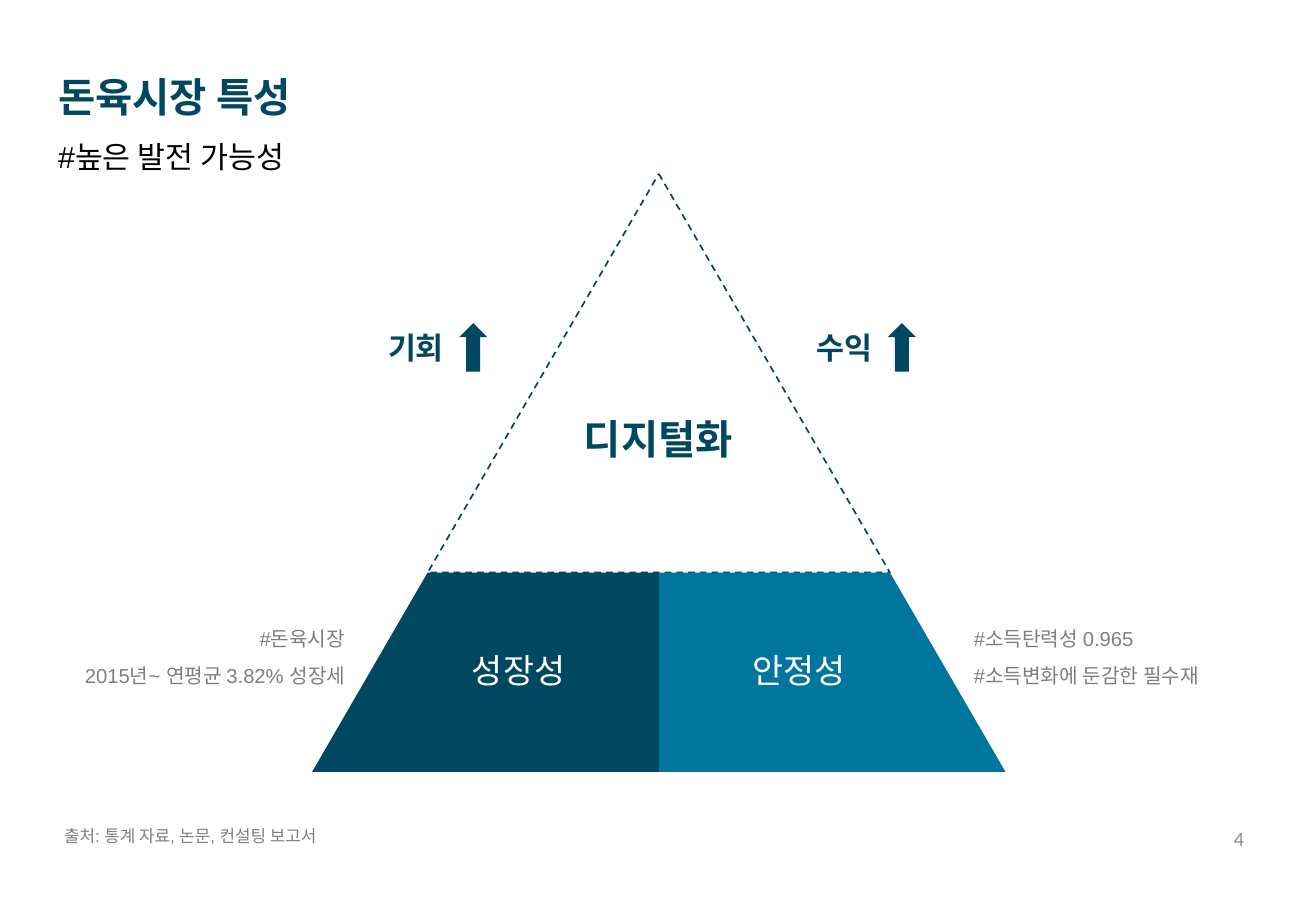
"""Draw the pork market pyramid slide."""
from dataclasses import dataclass

from pptx import Presentation
from pptx.dml.color import RGBColor
from pptx.enum.dml import MSO_LINE
from pptx.enum.shapes import MSO_SHAPE
from pptx.enum.text import MSO_ANCHOR, PP_ALIGN
from pptx.slide import Slide
from pptx.util import Length, Pt


@dataclass(frozen=True)
class Theme:
    """Colours, fonts and type sizes."""
    navy: str = "004760"
    blue: str = "00759E"
    grey: str = "808080"
    pale: str = "8C8C8C"
    black: str = "000000"
    white: str = "FFFFFF"
    sans: str = "Arial"
    body: str = "Calibri"
    title: int = 24
    block: int = 20
    label: int = 18
    note: int = 12
    source: int = 10


T = Theme()


@dataclass(frozen=True)
class Line:
    """One paragraph of text with its style."""
    text: str
    size: int
    color: str
    font: str = T.body
    bold: bool = False


@dataclass(frozen=True)
class Box:
    """A text box in points."""
    x: float
    y: float
    w: float
    h: float
    lines: tuple[Line, ...]
    align: PP_ALIGN = PP_ALIGN.LEFT
    spacing: float | Length = 1.0
    anchor: MSO_ANCHOR = MSO_ANCHOR.TOP


@dataclass(frozen=True)
class Outline:
    """A closed polygon in points, filled or dashed."""
    points: tuple[tuple[float, float], ...]
    fill: str | None = None


def note(text: str) -> Line:
    """Return a grey side note."""
    return Line(text, T.note, T.grey, T.sans)


def label(text: str) -> Line:
    """Return a bold navy label."""
    return Line(text, T.label, T.navy, bold=True)


def block(text: str) -> Line:
    """Return a white caption for a base block."""
    return Line(text, T.block, T.white)


MID, APEX, SPLIT, BASE = 390.5, 103, 339.4, 457.6
TOP_HALF, BASE_HALF = 137, 205.5
ARROW_Y, ARROW_W, ARROW_H = 191.5, 16.6, 28.8
C, R = PP_ALIGN.CENTER, PP_ALIGN.RIGHT

OUTLINES = (
    Outline(((MID, APEX), (MID + TOP_HALF, SPLIT), (MID - TOP_HALF, SPLIT))),
    *(Outline(((MID, SPLIT), (MID + side * TOP_HALF, SPLIT),
               (MID + side * BASE_HALF, BASE), (MID, BASE)), color)
      for side, color in ((-1, T.navy), (1, T.blue))),
)

BOXES = (
    Box(27.4, 24.5, 180, 79, (
        Line("돈육시장 특성", T.title, T.navy, T.sans, True),
        Line("#높은 발전 가능성", T.label, T.black, T.sans)), spacing=1.5),
    Box(182.9, ARROW_Y, 127.4, 29, (label("기회"),), C),
    Box(437, ARROW_Y, 127.4, 29, (label("수익"),), C),
    Box(300.3, 241.9, 180, 37.4,
        (Line("디지털화", T.title, T.navy, bold=True),), C),
    Box(217.4, 381.6, 180, 31.7, (block("성장성"),), C),
    Box(383.8, 381.6, 180, 31.7, (block("안정성"),), C),
    Box(11.5, 360.7, 200.2, 48.2,
        (note("#돈육시장"), note("2015년~ 연평균 3.82% 성장세")), R, 1.5),
    Box(570.2, 360.7, 185, 48.2,
        (note("#소득탄력성 0.965"), note("#소득변화에 둔감한 필수재")), spacing=1.5),
    Box(31, 478.8, 249, 23.8,
        (Line("출처: 통계 자료, 논문, 컨설팅 보고서", T.source, T.grey, T.sans),),
        spacing=Pt(19)),
    Box(568.8, 482.4, 175.7, 28.8, (Line("4", T.note, T.pale),), R,
        anchor=MSO_ANCHOR.MIDDLE),
)


def draw_box(s: Slide, box: Box) -> None:
    """Add a text box."""
    tf = s.shapes.add_textbox(Pt(box.x), Pt(box.y), Pt(box.w), Pt(box.h)).text_frame
    tf.word_wrap = True
    tf.vertical_anchor = box.anchor
    for i, line in enumerate(box.lines):
        p = tf.add_paragraph() if i else tf.paragraphs[0]
        p.alignment = box.align
        p.line_spacing = box.spacing
        r = p.add_run()
        r.text = line.text
        r.font.name = line.font
        r.font.size = Pt(line.size)
        r.font.bold = line.bold
        r.font.color.rgb = RGBColor.from_string(line.color)


def draw_outline(s: Slide, outline: Outline) -> None:
    """Add a polygon."""
    pts = [(Pt(x), Pt(y)) for x, y in outline.points]
    fb = s.shapes.build_freeform(*pts[0])
    fb.add_line_segments(pts[1:], close=True)
    sp = fb.convert_to_shape()
    sp.shadow.inherit = False
    if outline.fill:
        sp.fill.solid()
        sp.fill.fore_color.rgb = RGBColor.from_string(outline.fill)
        sp.line.fill.background()
    else:
        sp.fill.background()
        sp.line.color.rgb = RGBColor.from_string(T.navy)
        sp.line.width = Pt(1)
        sp.line.dash_style = MSO_LINE.DASH


def draw_arrow(s: Slide, x: float) -> None:
    """Add an upward arrow."""
    sp = s.shapes.add_shape(MSO_SHAPE.UP_ARROW, Pt(x), Pt(ARROW_Y),
                            Pt(ARROW_W), Pt(ARROW_H))
    sp.shadow.inherit = False
    sp.fill.solid()
    sp.fill.fore_color.rgb = RGBColor.from_string(T.navy)
    sp.line.fill.background()


def main() -> None:
    """Build and save the slide."""
    prs = Presentation()
    prs.slide_width, prs.slide_height = Pt(780), Pt(540)
    s = prs.slides.add_slide(prs.slide_layouts[6])
    for outline in OUTLINES:
        draw_outline(s, outline)
    for x in (272.2, 526.3):
        draw_arrow(s, x)
    for box in BOXES:
        draw_box(s, box)
    prs.save("out.pptx")


if __name__ == "__main__":
    main()
